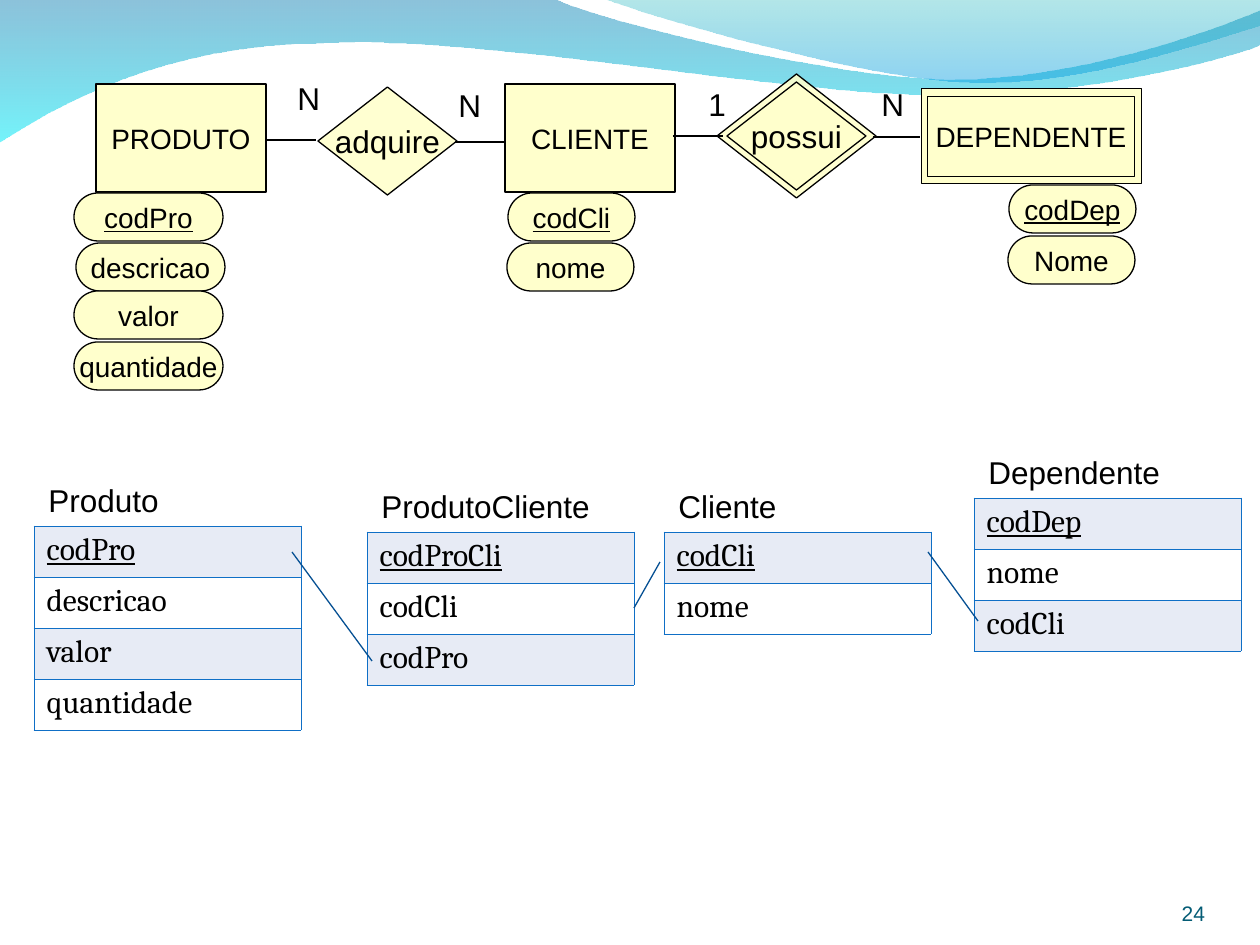
from lxml import etree
from pptx import Presentation
from pptx.dml.color import RGBColor
from pptx.enum.shapes import MSO_CONNECTOR, MSO_SHAPE
from pptx.enum.text import MSO_ANCHOR, MSO_AUTO_SIZE, PP_ALIGN
from pptx.oxml import parse_xml
from pptx.oxml.ns import nsdecls, qn
from pptx.util import Inches, Pt

RECT, PILL, DIAMOND = MSO_SHAPE.RECTANGLE, MSO_SHAPE.ROUNDED_RECTANGLE, MSO_SHAPE.DIAMOND
STRAIGHT = MSO_CONNECTOR.STRAIGHT
MIDDLE, BOTTOM = MSO_ANCHOR.MIDDLE, MSO_ANCHOR.BOTTOM
CENTER, RIGHT = PP_ALIGN.CENTER, PP_ALIGN.RIGHT
GROW, FIXED = MSO_AUTO_SIZE.SHAPE_TO_FIT_TEXT, MSO_AUTO_SIZE.NONE

BLACK = RGBColor(0, 0, 0)
WHITE = RGBColor(255, 255, 255)
CREAM = RGBColor(0xFF, 0xFF, 0xCC)
BAND = RGBColor(0xE7, 0xEB, 0xF5)
NAVY = RGBColor(0x06, 0x50, 0x93)
TEAL = RGBColor(0x04, 0x5C, 0x75)
BLUE = RGBColor(0x0F, 0x6F, 0xC6)
SCALE = Inches(1) / 126


def emu(*vals):
    return [round(v * SCALE) for v in vals]


def put(kind, rect, text="", size=16, key=False, wrap=False, width=0.75):
    """Add a cream shape, or a plain text box when kind is None."""
    if kind is None:
        shape = slide.shapes.add_textbox(*emu(*rect))
    else:
        shape = slide.shapes.add_shape(kind, *emu(*rect))
        shape.shadow.inherit = False
        shape.fill.solid()
        shape.fill.fore_color.rgb = CREAM
        shape.line.color.rgb = BLACK
        shape.line.width = Pt(width)
    if kind == PILL:
        shape.adjustments[0] = 0.5
    if kind == DIAMOND:
        tone = shape._element.spPr.find(qn("a:solidFill"))[0]
        etree.SubElement(tone, qn("a:alpha"), val="90000")
    if text:
        frame = shape.text_frame
        frame.text = text
        frame.word_wrap = wrap
        if kind is None:
            frame.auto_size = GROW
        else:
            frame.vertical_anchor = MIDDLE
            frame.paragraphs[0].alignment = CENTER
        font = frame.paragraphs[0].runs[0].font
        font.name, font.size, font.color.rgb = "Arial", Pt(size), BLACK
        if key:
            font.underline = True
    return shape


prs = Presentation()
prs.slide_width, prs.slide_height = Inches(10), Inches(7.5)
slide = prs.slides.add_slide(prs.slide_layouts[6])

# Waves at the top: each step is a line (one point) or a curve (three points)
waves = [
    ((0, -1),
     [[(554, -1)],
      [(600, 21), (837, 79), (955, 79)],
      [(1075, 79), (1207, 33), (1260, 11)],
      [(1261, 45)],
      [(1239, 55), (1096, 96), (940, 95)],
      [(784, 95), (481, 35), (324, 43)],
      [(163, 44), (58, 105), (-1, 142)],
      [(0, -1)]],
     [("0079AF", 45), ("00EBF8", 55)]),
    ((604, -1),
     [[(641, 14), (859, 78), (969, 82)],
      [(1079, 87), (1211, 40), (1260, 26)],
      [(1260, 0)],
      [(604, -1)]],
     [("00ADB6", 30), ("009BE5", 45)]),
]
for start, steps, stops in waves:
    pen = slide.shapes.build_freeform(*emu(*start))
    pen.add_line_segments([emu(*dot) for step in steps for dot in step], close=True)
    wave = pen.convert_to_shape()
    lines = iter(list(wave._element.iter(qn("a:lnTo"))))
    for step in steps:
        parts = [next(lines) for dot in step]
        if len(parts) == 3:
            curve = etree.Element(qn("a:cubicBezTo"))
            parts[0].addprevious(curve)
            for part in parts:
                curve.append(part[0])
                part.getparent().remove(part)
    wave.shadow.inherit = False
    wave.line.fill.background()
    wave.fill.gradient()
    wave.fill.gradient_angle = 270
    for stop, place, (tone, alpha) in zip(wave.fill.gradient_stops, (0, 1), stops):
        stop.position = place
        stop.color.rgb = RGBColor.from_string(tone)
    for node, (tone, alpha) in zip(wave._element.iter(qn("a:srgbClr")), stops):
        etree.SubElement(node, qn("a:alpha"), val=str(alpha * 1000))

# Slide number
page = put(None, (911, 879, 294, 47), "24", 12, wrap=True).text_frame
page.auto_size = FIXED
page.margin_left = page.margin_right = page.margin_top = page.margin_bottom = 0
page.vertical_anchor = BOTTOM
page.paragraphs[0].alignment = RIGHT
page.paragraphs[0].runs[0].font.color.rgb = TEAL

# Entities and relations; the weak ones have a double outline
put(DIAMOND, (717, 74, 159, 124))
put(RECT, (921, 88, 221, 96), width=0.5)
put(RECT, (505, 84, 170, 108), "CLIENTE")
put(DIAMOND, (727, 82, 139, 108), "possui", 18)
put(RECT, (927, 96, 208, 80), "DEPENDENTE", width=0.5)
put(DIAMOND, (318, 87, 139, 108), "adquire", 18)
put(RECT, (96, 84, 170, 108), "PRODUTO")

# Attributes; keys are underlined
for x, y, w, text, key in [
    (1009, 185, 127, "codDep", True), (1008, 236, 127, "Nome", False),
    (508, 193, 127, "codCli", True), (507, 243, 127, "nome", False),
    (74, 193, 149, "codPro", True), (76, 243, 149, "descricao", False),
    (74, 291, 149, "valor", False), (74, 342, 149, "quantidade", False),
]:
    put(PILL, (x, y, w, 48), text, key=key)

# Cardinalities
for x, y, w, text in [(696, 79, 30, "1"), (869, 79, 48, "N"),
                      (446, 80, 48, "N"), (285, 73, 48, "N")]:
    put(None, (x, y, w, 50), text, 18, wrap=text == "1")

# Relational tables with their names
for x, y, name, rows in [
    (34, 526, "Produto", ["codPro", "descricao", "valor", "quantidade"]),
    (664, 532, "Cliente", ["codCli", "nome"]),
    (367, 532, "ProdutoCliente", ["codProCli", "codCli", "codPro"]),
    (974, 498, "Dependente", ["codDep", "nome", "codCli"]),
]:
    table = slide.shapes.add_table(len(rows), 1, *emu(x, y, 267, 51 * len(rows))).table
    table.first_row = table.horz_banding = False
    for i, text in enumerate(rows):
        cell = table.cell(i, 0)
        cell.text = text
        cell.fill.solid()
        cell.fill.fore_color.rgb = WHITE if i % 2 else BAND
        font = cell.text_frame.paragraphs[0].runs[0].font
        font.name, font.size, font.color.rgb = "Cambria", Pt(18), BLACK
        font.underline = i == 0
        for n, side in enumerate("LRTB"):
            cell._tc.get_or_add_tcPr().insert(n, parse_xml(
                f'<a:ln{side} {nsdecls("a")} w="5715"><a:solidFill>'
                f'<a:srgbClr val="{BLUE}"/></a:solidFill></a:ln{side}>'))
    put(None, (x + 2, y - 51, 267, 50), name, 18, wrap=True)

# Links between entities, then between foreign keys
for tone, ends in [
    (BLACK, [(673, 136, 723, 136), (873, 137, 920, 137),
             (455, 142, 505, 142), (266, 140, 316, 140)]),
    (NAVY, [(372, 661, 292, 552), (634, 608, 660, 562), (928, 552, 978, 621)]),
]:
    for end in ends:
        link = slide.shapes.add_connector(STRAIGHT, *emu(*end))
        link.line.color.rgb = tone
        link.line.width = Pt(0.75)
        etree.SubElement(link._element.spPr, qn("a:effectLst"))

prs.save("out.pptx")
